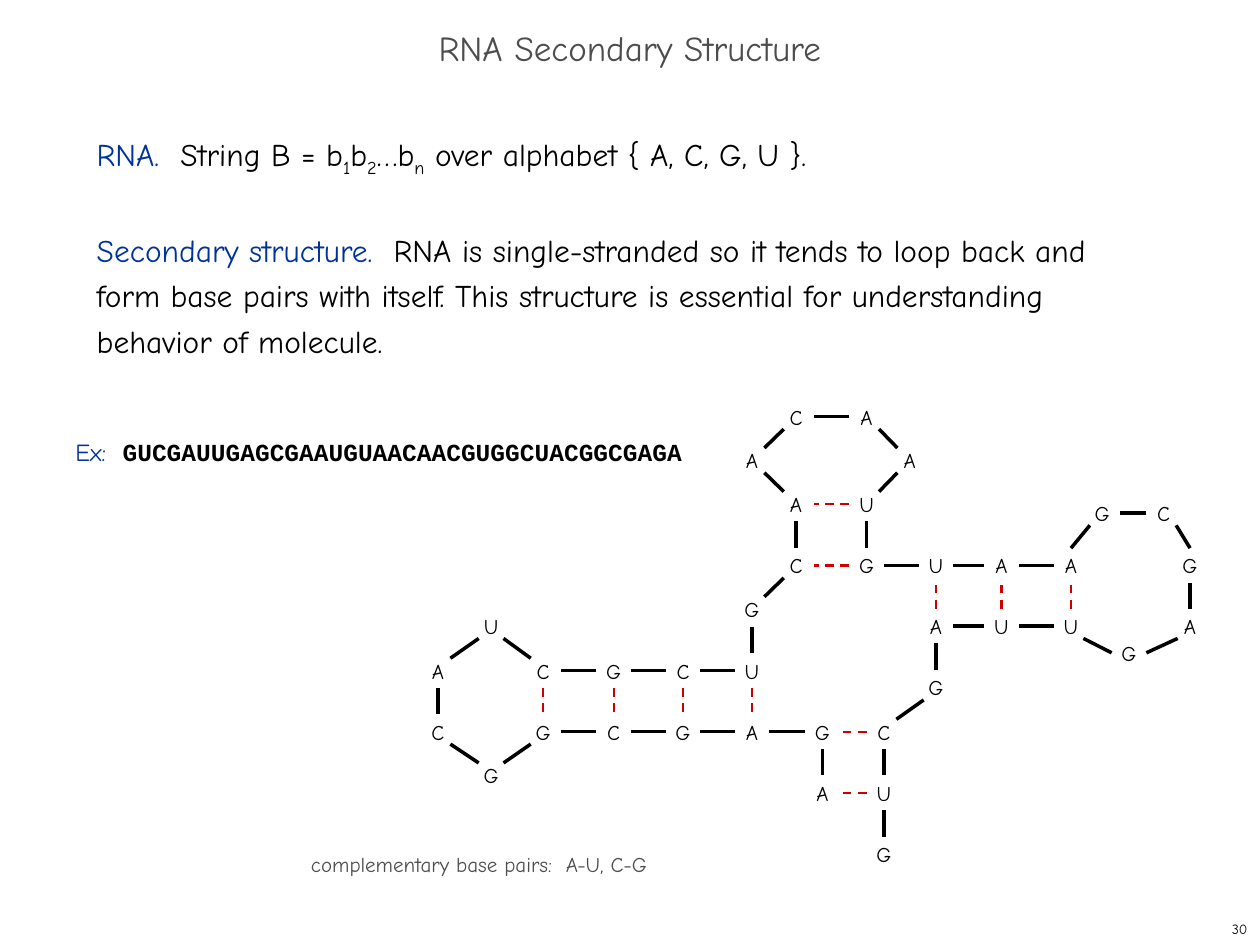
"""Build the slide that introduces RNA secondary structure."""
from lxml import etree
from pptx import Presentation
from pptx.dml.color import RGBColor
from pptx.enum.dml import MSO_LINE
from pptx.enum.shapes import MSO_CONNECTOR, MSO_SHAPE
from pptx.enum.text import MSO_ANCHOR, PP_ALIGN
from pptx.oxml.ns import qn
from pptx.util import Cm, Pt

BLACK = RGBColor(0x00, 0x00, 0x00)
GRAY = RGBColor(0x4D, 0x4D, 0x4D)
BLUE = RGBColor(0x00, 0x33, 0x99)
RED = RGBColor(0xCC, 0x00, 0x00)
STRAIGHT = MSO_CONNECTOR.STRAIGHT
ELLIPSE = MSO_SHAPE.OVAL
DASH = MSO_LINE.DASH
MIDDLE = MSO_ANCHOR.MIDDLE
LEFT, CENTER, RIGHT = PP_ALIGN.LEFT, PP_ALIGN.CENTER, PP_ALIGN.RIGHT
FONT = "Comic Neue"
RADIUS = 0.35
DIAGONAL = 0.25

STRAND = "GUCGAUUGAGCGAAUGUAACAACGUCGCUACGGCGAGA"
CENTERS = [
    (17.82, 17.22), (17.82, 15.98), (17.82, 14.75), (18.87, 13.86),
    (18.87, 12.62), (20.19, 12.62), (21.59, 12.62), (22.76, 13.16),
    (23.99, 12.62), (23.99, 11.4), (23.46, 10.34), (22.22, 10.34),
    (21.59, 11.4), (20.19, 11.4), (18.87, 11.4), (17.47, 11.4),
    (17.47, 10.16), (18.34, 9.28), (17.47, 8.4), (16.05, 8.4),
    (15.16, 9.28), (16.05, 10.16), (16.05, 11.4), (15.16, 12.28),
    (15.16, 13.52), (13.77, 13.52), (12.37, 13.52), (10.95, 13.52),
    (9.9, 12.62), (8.83, 13.52), (8.83, 14.75), (9.9, 15.63),
    (10.95, 14.75), (12.37, 14.75), (13.77, 14.75), (15.16, 14.75),
    (16.58, 14.75), (16.58, 15.98),
]
PAIRS = [(1, 37), (2, 36), (4, 14), (5, 13), (6, 12), (15, 22),
         (16, 21), (24, 35), (25, 34), (26, 33), (27, 32)]
JOINED_AT_SIDE = {7}
JOINED_AT_TOP = {9, 12}

deck = Presentation()
deck.slide_width, deck.slide_height = Cm(25.4), Cm(19.05)
page = deck.slides.add_slide(deck.slide_layouts[6])


def add_text(left, top, width, height, text, size, color, align=LEFT, wrap=False):
    box = page.shapes.add_textbox(Cm(left), Cm(top), Cm(width), Cm(height))
    box.text_frame.word_wrap = wrap
    para = box.text_frame.paragraphs[0]
    para.text = text
    para.alignment = align
    para.font.name, para.font.size = FONT, Pt(size)
    para.font.color.rgb = color
    return box.text_frame


def edge_point(base, other):
    x, y = CENTERS[base]
    across = (CENTERS[other][0] > x) - (CENTERS[other][0] < x)
    down = (CENTERS[other][1] > y) - (CENTERS[other][1] < y)
    if across and down:
        if base in JOINED_AT_SIDE:
            down = 0
        elif base in JOINED_AT_TOP:
            across = 0
    reach = DIAGONAL if across and down else RADIUS
    return Cm(x + across * reach), Cm(y + down * reach)


number = add_text(20.12, 18.42, 5.28, 0.63, "30", 8, BLACK, RIGHT)
title = add_text(0, 0.43, 25.4, 1.27, "RNA Secondary Structure", 20, GRAY, CENTER, True)
number.vertical_anchor = title.vertical_anchor = MIDDLE
title.paragraphs[0].line_spacing = 0.7

body = add_text(1.7, 2.54, 21.79, 15.04, "", 18, BLACK, LEFT, True)
definition = body.paragraphs[0]
structure = body.add_paragraph()
structure.space_before = Pt(26)
structure.font.name, structure.font.size = FONT, Pt(18)
structure.font.color.rgb = BLACK
example = add_text(1.27, 8.36, 12.83, 1.17, "", 14, BLACK).paragraphs[0]

for para, heading in [(definition, "RNA.  "), (structure, "Secondary structure.  "),
                      (example, "Ex:  ")]:
    para.line_spacing = Pt(26)
    span = para.add_run()
    span.text = heading
    span.font.color.rgb = BLUE

for text, subscript in [("String B = b", False), ("1", True), ("b", False), ("2", True),
                        ("…b", False), ("n", True),
                        (" over alphabet { A, C, G, U }.", False)]:
    span = definition.add_run()
    span.text = text
    if subscript:
        span.font._element.set("baseline", "-25000")

structure.add_run().text = (
    "RNA is single-stranded so it tends to loop back and form base pairs with itself. "
    "This structure is essential for understanding behavior of molecule.")

sequence = example.add_run()
sequence.text = "GUCGAUUGAGCGAAUGUAACAACGUGGCUACGGCGAGA"
sequence.font.name, sequence.font.bold = "Courier New", True

add_text(6.02, 17.04, 7.75, 0.76, "complementary base pairs:  A-U, C-G", 12, GRAY)

for letter, (x, y) in zip(STRAND, CENTERS):
    base = page.shapes.add_shape(ELLIPSE, Cm(x - RADIUS), Cm(y - RADIUS),
                                 Cm(2 * RADIUS), Cm(2 * RADIUS))
    base.shadow.inherit = False
    base.fill.background()
    base.line.fill.background()
    base.text_frame.word_wrap = False
    base.text_frame.vertical_anchor = MIDDLE
    para = base.text_frame.paragraphs[0]
    para.text = letter
    para.alignment = CENTER
    para.font.name, para.font.size = FONT, Pt(12)
    para.font.color.rgb = BLACK

backbone = [(base, base + 1) for base in range(len(STRAND) - 1)]
for links, color, width, dash in [(backbone, BLACK, 2, None), (PAIRS, RED, 1.25, DASH)]:
    for first, second in links:
        bond = page.shapes.add_connector(STRAIGHT, *edge_point(first, second),
                                         *edge_point(second, first))
        bond.line.color.rgb = color
        bond.line.width = Pt(width)
        bond.line.dash_style = dash
        etree.SubElement(bond._element.spPr, qn("a:effectLst"))

deck.save("out.pptx")
